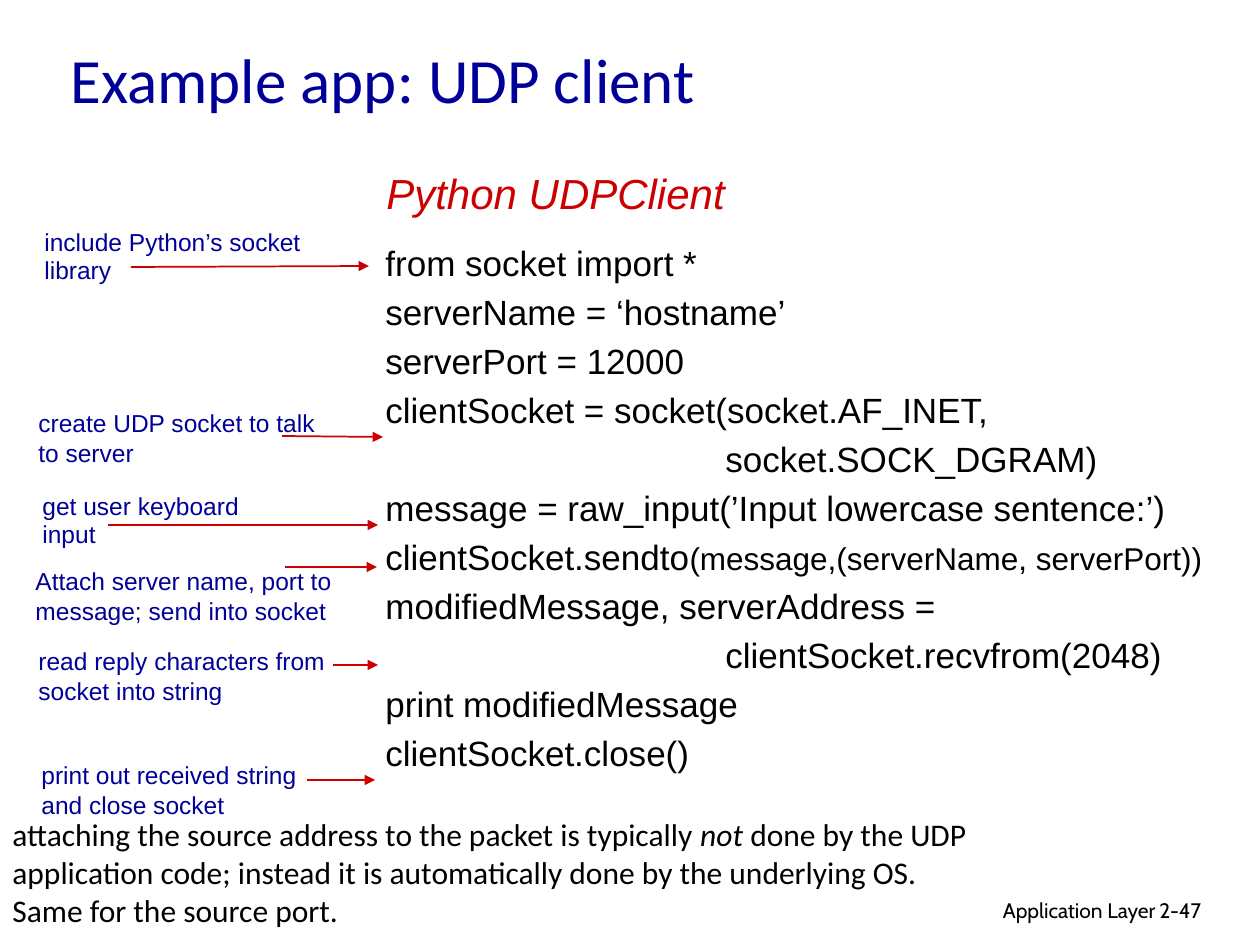
from lxml.etree import SubElement
from pptx import Presentation
from pptx.dml.color import RGBColor
from pptx.enum.shapes import MSO_CONNECTOR
from pptx.enum.text import MSO_ANCHOR, PP_ALIGN
from pptx.oxml.ns import qn
from pptx.util import Emu, Pt

PX_PER_INCH = 126
BLACK, NAVY, RED = "000000", "000099", "CC0000"
CODE_INDENT = 340

TITLE = {"name": "Calibri", "size": Pt(36), "color": NAVY}
HEADING = {"name": "Arial", "size": Pt(24), "color": RED, "italic": True}
CODE = {"name": "Arial", "size": Pt(20), "color": BLACK}
SMALL_CODE = {**CODE, "size": Pt(18)}
NOTE = {"name": "Arial", "size": Pt(14), "color": NAVY}
REMARK = {"name": "Calibri", "size": Pt(18), "color": BLACK}
FOOTER = {"name": "Cabin", "size": Pt(12), "color": BLACK}

# Each line: indent level and its runs
CODE_LINES = [
    (0, [("from socket import *", CODE)]),
    (0, [("serverName = ‘hostname’", CODE)]),
    (0, [("serverPort = 12000", CODE)]),
    (0, [("clientSocket = socket(socket.AF_INET,", CODE)]),
    (1, [("socket.SOCK_DGRAM)", CODE)]),
    (0, [("message = raw_input(’Input lowercase sentence:’)", CODE)]),
    (0, [("clientSocket.sendto", CODE),
         ("(message,(serverName, serverPort))", SMALL_CODE)]),
    (0, [("modifiedMessage, serverAddress =", CODE)]),
    (1, [("clientSocket.recvfrom(2048)", CODE)]),
    (0, [("print modifiedMessage", CODE)]),
    (0, [("clientSocket.close()", CODE)]),
]

# Each note: box, paragraphs, line spacing in points, arrow start and end
NOTES = [
    ((32, 222, 284, 76), ["include Python’s socket", "library"], 16,
     (131, 267), (369, 266)),
    ((26, 402, 312, 72), ["create UDP socket to talk to server"], None,
     (282, 436), (383, 437)),
    ((30, 486, 230, 76), ["get user keyboard", "input"], 16,
     (108, 525), (378, 525)),
    ((23, 560, 324, 72),
     ["Attach server name, port to message; send into socket"], None,
     (285, 567), (377, 567)),
    ((26, 640, 324, 78), ["read reply characters from", "socket into string"],
     None, (333, 665), (378, 665)),
    ((29, 754, 320, 72), ["print out received string and close socket"], None,
     (307, 780), (375, 780)),
]


def px(length):
    return Emu(round(length * 914400 / PX_PER_INCH))


def rgb(hex_color):
    return RGBColor.from_string(hex_color)


def add_run(paragraph, text, style):
    run = paragraph.add_run()
    run.text = text
    for key, value in style.items():
        if key == "color":
            run.font.color.rgb = rgb(value)
        else:
            setattr(run.font, key, value)


def add_text(slide, box, lines, spacing=None, align=PP_ALIGN.LEFT,
             anchor=MSO_ANCHOR.TOP):
    """Add a text box; each line is an indent level and a list of runs."""
    frame = slide.shapes.add_textbox(*map(px, box)).text_frame
    frame.word_wrap = True
    frame.vertical_anchor = anchor
    for index, (level, runs) in enumerate(lines):
        paragraph = frame.add_paragraph() if index else frame.paragraphs[0]
        paragraph.alignment = align
        if spacing:
            paragraph.line_spacing = Pt(spacing)
        if level:
            properties = paragraph._p.get_or_add_pPr()
            properties.set("marL", str(px(level * CODE_INDENT)))
            properties.set("indent", "0")
        for text, style in runs:
            add_run(paragraph, text, style)


def add_arrow(slide, start, end):
    arrow = slide.shapes.add_connector(
        MSO_CONNECTOR.STRAIGHT, *map(px, start + end))
    arrow.line.color.rgb = rgb(RED)
    arrow.line.width = Pt(1)
    SubElement(arrow.line._get_or_add_ln(), qn("a:tailEnd"), type="triangle")
    SubElement(arrow._element.spPr, qn("a:effectLst"))


def add_note(slide, box, paragraphs, spacing, start, end):
    add_text(slide, box, [(0, [(text, NOTE)]) for text in paragraphs], spacing)
    add_arrow(slide, start, end)


def main():
    deck = Presentation()
    deck.slide_width, deck.slide_height = px(1260), px(945)
    slide = deck.slides.add_slide(deck.slide_layouts[6])

    # Footer and page number
    add_text(slide, (769, 891, 399, 39), [(0, [("Application Layer", FOOTER)])],
             align=PP_ALIGN.RIGHT)
    add_text(slide, (1147, 891, 93, 38), [(0, [("2-47", FOOTER)])])

    # Title
    add_text(slide, (58, 13, 1071, 131),
             [(0, [("Example app: UDP client", TITLE)])],
             anchor=MSO_ANCHOR.MIDDLE)

    # Program listing
    add_text(slide, (373, 228, 860, 641), CODE_LINES, spacing=28)
    add_text(slide, (374, 161, 378, 64), [(0, [("Python UDPClient", HEADING)])])

    # Notes pointing at the code
    for note in NOTES:
        add_note(slide, *note)

    # Closing remark
    add_text(slide, (0, 809, 987, 165), [(0, [
        ("attaching the source address to the packet is typically ", REMARK),
        ("not ", {**REMARK, "italic": True}),
        ("done by the UDP application code; instead it is automatically done "
         "by the underlying OS. Same for the source port.", REMARK),
    ])])

    deck.save("out.pptx")


if __name__ == "__main__":
    main()
